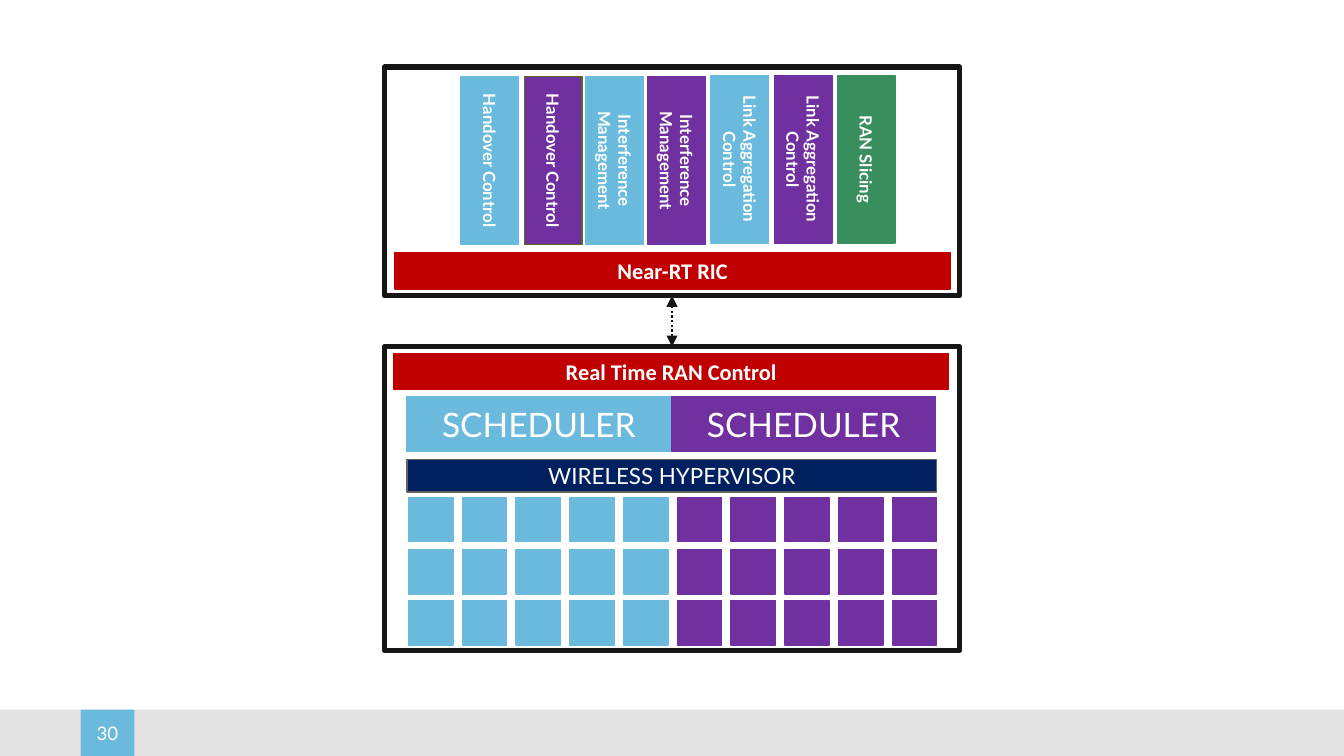
from dataclasses import dataclass
from typing import Optional

from lxml import etree
from pptx import Presentation
from pptx import util as u
from pptx.dml.color import RGBColor
from pptx.enum import dml, shapes, text
from pptx.oxml.ns import qn

BLUE, SKY, PURPLE, GREEN = "6BBADD", "6ABADD", "7030A0", "388F5D"
RED, NAVY, BLACK, WHITE = "C00000", "002060", "161616", "FFFFFF"


@dataclass
class Box:
    left: float
    top: float
    width: float
    height: float
    fill: Optional[str] = None
    line: Optional[str] = None
    line_width: float = 0.75
    label: str = ""
    size: float = 12
    font: str = "Lato"
    bold: bool = False
    rotation: float = 0
    wrap: bool = True


@dataclass
class App:
    label: str
    left: float
    top: float
    fill: str
    line: Optional[str] = None


def set_color(fmt, color: str) -> None:
    fmt.rgb = RGBColor.from_string(color)


def add_box(slide, box: Box):
    sp = slide.shapes.add_shape(
        shapes.MSO_SHAPE.RECTANGLE,
        u.Inches(box.left), u.Inches(box.top),
        u.Inches(box.width), u.Inches(box.height),
    )
    sp.shadow.inherit = False
    sp.rotation = box.rotation
    if box.fill:
        sp.fill.solid()
        set_color(sp.fill.fore_color, box.fill)
    else:
        sp.fill.background()
    if box.line:
        set_color(sp.line.color, box.line)
        sp.line.width = u.Pt(box.line_width)
        etree.SubElement(sp.line._get_or_add_ln(), qn("a:round"))
    else:
        sp.line.fill.background()
    if box.label:
        tf = sp.text_frame
        tf.word_wrap = box.wrap
        tf.vertical_anchor = text.MSO_ANCHOR.MIDDLE
        for i, line in enumerate(box.label.split("\n")):
            p = tf.add_paragraph() if i else tf.paragraphs[0]
            p.text = line
            p.alignment = text.PP_ALIGN.CENTER
            p.font.name = box.font
            p.font.size = u.Pt(box.size)
            p.font.bold = box.bold
            set_color(p.font.color, WHITE)
    return sp


def add_footer(slide) -> None:
    bar = add_box(slide, Box(0, 5.28, 10, 0.35, "A6A6A6"))
    color = bar._element.spPr.find(qn("a:solidFill"))[0]
    etree.SubElement(color, qn("a:alpha"), val="30000")
    add_box(slide, Box(0.6, 5.28, 0.4, 0.35, BLUE, label="30", size=10, wrap=False))


def add_resource_grid(slide) -> None:
    for top in (3.7, 4.09, 4.47):
        for col in range(10):
            fill = BLUE if col < 5 else PURPLE
            add_box(slide, Box(3.04 + 0.4 * col, top, 0.33, 0.33, fill, fill))


def add_app(slide, app: App) -> None:
    add_box(slide, Box(app.left, app.top, 1.25, 0.43, app.fill, app.line or app.fill,
                       label=app.label, size=9, bold=True, rotation=90))


def add_double_arrow(slide, x: float, start: float, end: float) -> None:
    cx = slide.shapes.add_connector(
        shapes.MSO_CONNECTOR.STRAIGHT,
        u.Inches(x), u.Inches(start), u.Inches(x), u.Inches(end),
    )
    set_color(cx.line.color, BLACK)
    cx.line.width = u.Pt(1.25)
    cx.line.dash_style = dml.MSO_LINE.ROUND_DOT
    ln = cx.line._get_or_add_ln()
    for tag in ("a:headEnd", "a:tailEnd"):
        etree.SubElement(ln, qn(tag), type="triangle")
    etree.SubElement(cx._element.spPr, qn("a:effectLst"))


def main() -> None:
    prs = Presentation()
    prs.slide_width = u.Inches(10)
    prs.slide_height = u.Inches(10 * 9 / 16)
    s = prs.slides.add_slide(prs.slide_layouts[6])

    add_footer(s)
    add_resource_grid(s)
    for left, fill in ((3.03, BLUE), (5, PURPLE)):
        add_box(s, Box(left, 2.95, 1.96, 0.41, fill, fill, label="SCHEDULER", size=18))

    for app in (
        App("Handover Control", 3.02, 0.98, SKY),
        App("Handover Control", 3.49, 0.98, PURPLE, "586A1F"),
        App("Interference Management", 3.95, 0.98, SKY),
        App("Interference Management", 4.41, 0.98, PURPLE),
        App("Link Aggregation\nControl", 4.88, 0.97, SKY),
        App("Link Aggregation Control", 5.35, 0.97, PURPLE),
        App("RAN Slicing", 5.82, 0.97, GREEN),
    ):
        add_app(s, app)

    for left, top, label in ((2.94, 1.88, "Near-RT RIC"), (2.93, 2.63, "Real Time RAN Control")):
        add_box(s, Box(left, top, 4.13, 0.27, RED, RED, label=label, font="Calibri", bold=True))
    for top, height in ((0.5, 1.7), (2.58, 2.26)):
        add_box(s, Box(2.86, top, 4.28, height, line=BLACK, line_width=3))
    add_double_arrow(s, 5, 2.58, 2.2)
    add_box(s, Box(3.03, 3.42, 3.94, 0.24, NAVY, "626262", label="WIRELESS HYPERVISOR"))

    prs.save("out.pptx")


if __name__ == "__main__":
    main()
